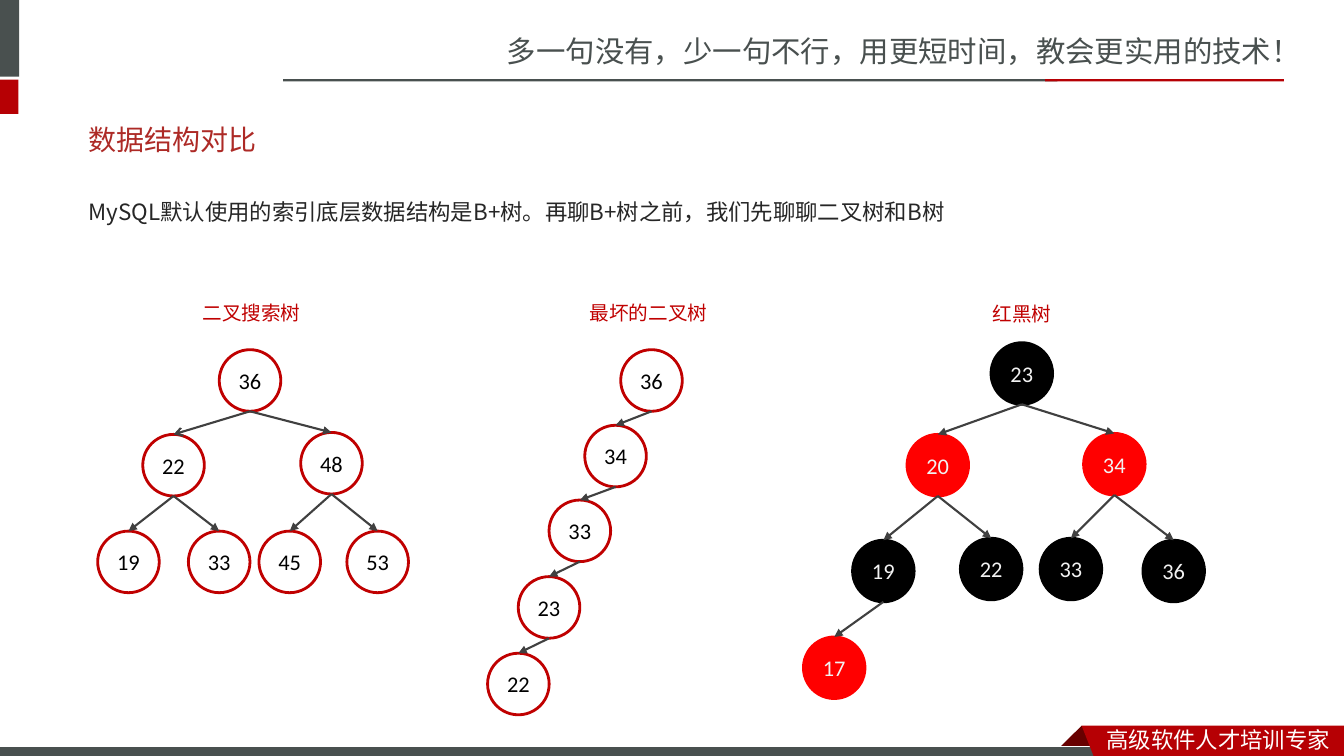
from dataclasses import dataclass
from typing import NamedTuple, Optional

from lxml.etree import SubElement
from pptx import Presentation
from pptx.dml.color import RGBColor
from pptx.enum.shapes import MSO_CONNECTOR as Connector, MSO_SHAPE as Shape
from pptx.enum.text import MSO_ANCHOR as Anchor, MSO_AUTO_SIZE as AutoSize, PP_ALIGN as Align
from pptx.oxml.ns import qn
from pptx.util import Pt


@dataclass(frozen=True)
class Theme:
    gray: str = "49504F"
    red: str = "B60004"
    dark_red: str = "680000"
    title: str = "AD2A26"
    body: str = "262626"
    accent: str = "C00000"
    edge: str = "404040"
    black: str = "000000"
    bright_red: str = "FF0000"
    pale: str = "F2F2F2"
    white: str = "FFFFFF"
    slogan_size: float = 21
    title_size: float = 20
    body_size: float = 16
    caption_size: float = 14
    node_diameter: float = 44
    chinese: str = "Noto Sans CJK SC"
    body_font: str = "Noto Sans CJK JP"
    title_font: str = "Arial"
    node_font: str = "Calibri"


class Node(NamedTuple):
    value: str
    center: float
    top: float
    parent: Optional[int] = None
    fill: Optional[str] = None
    arrow: str = "triangle"


def write_text(shape, text, size, color, font, east_asian=None, align=Align.LEFT,
               anchor=Anchor.TOP, line_spacing=1.0, margin=None):
    frame = shape.text_frame
    frame.word_wrap = True
    frame.auto_size = AutoSize.NONE
    frame.vertical_anchor = anchor
    if margin is not None:
        frame.margin_left = frame.margin_right = Pt(margin)
        frame.margin_top = frame.margin_bottom = Pt(margin)
    paragraph = frame.paragraphs[0]
    paragraph.alignment = align
    paragraph.line_spacing = line_spacing
    paragraph.space_before = Pt(0)
    run = paragraph.add_run()
    run.text = text
    run.font.size = Pt(size)
    run.font.color.rgb = RGBColor.from_string(color)
    run.font.name = font
    SubElement(run.font._element, qn("a:ea")).set("typeface", east_asian or font)
    return paragraph


class SlideBuilder:
    def __init__(self, slide, theme):
        self.slide = slide
        self.shapes = slide.shapes
        self.theme = theme

    def paint(self, shape, fill=None, line=None, width=0.75):
        shape.shadow.inherit = False
        if fill:
            shape.fill.solid()
            shape.fill.fore_color.rgb = RGBColor.from_string(fill)
        else:
            shape.fill.background()
        if line:
            shape.line.color.rgb = RGBColor.from_string(line)
            shape.line.width = Pt(width)
        else:
            shape.line.fill.background()
        return shape

    def bar(self, box, fill, line=None):
        shape = self.shapes.add_shape(Shape.RECTANGLE, *map(Pt, box))
        return self.paint(shape, fill, line)

    def polygon(self, points, fill):
        start, *rest = [(Pt(x), Pt(y)) for x, y in points]
        builder = self.shapes.build_freeform(*start)
        builder.add_line_segments(rest, close=True)
        return self.paint(builder.convert_to_shape(), fill)

    def text(self, box, text, **style):
        write_text(self.shapes.add_textbox(*map(Pt, box)), text, **style)

    def placeholder(self, shape, box, text, **style):
        shape.left, shape.top, shape.width, shape.height = map(Pt, box)
        paragraph = write_text(shape, text, **style)
        properties = paragraph._p.get_or_add_pPr()
        properties.set("marL", "0")
        properties.set("indent", "0")
        SubElement(properties, qn("a:buNone"))

    def caption(self, box, text):
        theme = self.theme
        self.text(box, text, size=theme.caption_size, color=theme.accent,
                  font=theme.body_font, line_spacing=1.5)

    def circle(self, node):
        theme = self.theme
        diameter = theme.node_diameter
        shape = self.shapes.add_shape(Shape.OVAL, Pt(node.center - diameter / 2),
                                      Pt(node.top), Pt(diameter), Pt(diameter))
        self.paint(shape, node.fill, node.fill or theme.accent, 2)
        write_text(shape, node.value, size=theme.body_size,
                   color=theme.pale if node.fill else theme.black, font=theme.node_font,
                   align=Align.CENTER, anchor=Anchor.MIDDLE, margin=0)
        return shape

    def arrow(self, parent, child, head):
        start_x, start_y = parent.left + parent.width // 2, parent.top + parent.height
        connector = self.shapes.add_connector(Connector.STRAIGHT, start_x, start_y,
                                              child.left + child.width // 2, child.top)
        connector.end_connect(child, 0)
        connector.line.color.rgb = RGBColor.from_string(self.theme.edge)
        connector.line.width = Pt(1.5)
        SubElement(connector.line._get_or_add_ln(), qn("a:tailEnd")).set("type", head)
        SubElement(connector._element.spPr, qn("a:effectLst"))

    def tree(self, nodes):
        circles = [self.circle(node) for node in nodes]
        for node, circle in zip(nodes, circles):
            if node.parent is not None:
                self.arrow(circles[node.parent], circle, node.arrow)


THEME = Theme()
BLACK, RED = THEME.black, THEME.bright_red

SEARCH_TREE = [
    Node("36", 178.6, 249.8),
    Node("22", 124, 310.3, 0, arrow="arrow"),
    Node("48", 236.8, 308.9, 0),
    Node("19", 91.8, 379.4, 1),
    Node("33", 156.6, 379.4, 1),
    Node("45", 207, 379.4, 2),
    Node("53", 269.8, 379.4, 2),
]
WORST_TREE = [
    Node("36", 465.4, 249.8),
    Node("34", 439.7, 303.8, 0),
    Node("33", 414.2, 357.2, 1),
    Node("23", 392.2, 411.9, 2),
    Node("22", 370.3, 466.6, 3),
]
RED_BLACK_TREE = [
    Node("23", 729.9, 244.8, None, BLACK),
    Node("20", 669.9, 310.3, 0, RED),
    Node("34", 796, 309.6, 0, RED),
    Node("19", 631, 385.9, 1, BLACK),
    Node("22", 708, 384.5, 1, BLACK),
    Node("33", 765, 384.5, 2, BLACK),
    Node("36", 838.4, 385.9, 2, BLACK),
    Node("17", 595.9, 455, 3, RED),
]


def main():
    presentation = Presentation()
    presentation.slide_width, presentation.slide_height = Pt(960), Pt(540)
    slide = presentation.slides.add_slide(presentation.slide_layouts[1])
    builder = SlideBuilder(slide, THEME)

    builder.text((355, 20.2, 605.5, 33.8), "多一句没有，少一句不行，用更短时间，教会更实用的技术！",
                 size=THEME.slogan_size, color=THEME.gray, font=THEME.chinese)
    builder.bar((-4.3, 0, 18, 54.7), THEME.gray)
    builder.bar((-4.3, 56.9, 17.5, 24.5), THEME.red)
    builder.bar((202.3, 56.6, 553, 1.6), THEME.gray)
    builder.bar((746.6, 56.6, 170.6, 1.6), THEME.red)

    builder.polygon([(772.6, 518.4), (788.4, 534.2), (787.7, 535),
                     (757.4, 535), (756.7, 534.2)], THEME.dark_red)
    builder.bar((-0.7, 533.5, 792, 8.6), THEME.gray, THEME.white)
    builder.polygon([(772.6, 518.4), (960, 518.4), (960, 542.9), (782, 542.2)], THEME.red)
    builder.text((783.4, 514.8, 176.6, 26.6), "高级软件人才培训专家",
                 size=THEME.body_size, color=THEME.white, font=THEME.chinese)

    builder.placeholder(slide.shapes.title, (56.2, 79.2, 842.4, 41), "数据结构对比",
                        size=THEME.title_size, color=THEME.title, font=THEME.title_font,
                        east_asian=THEME.chinese, anchor=Anchor.MIDDLE)
    builder.placeholder(slide.placeholders[1], (56.2, 128.2, 842.4, 41),
                        "MySQL默认使用的索引底层数据结构是B+树。再聊B+树之前，我们先聊聊二叉树和B树",
                        size=THEME.body_size, color=THEME.body, font=THEME.body_font,
                        line_spacing=1.5)

    builder.tree(SEARCH_TREE)
    builder.tree(WORST_TREE)
    builder.tree(RED_BLACK_TREE)
    builder.caption((137.5, 203, 140.4, 41), "二叉搜索树")
    builder.caption((414, 203, 121, 41), "最坏的二叉树")
    builder.caption((702, 203.8, 95.8, 41), "红黑树")

    presentation.save("out.pptx")


if __name__ == "__main__":
    main()
